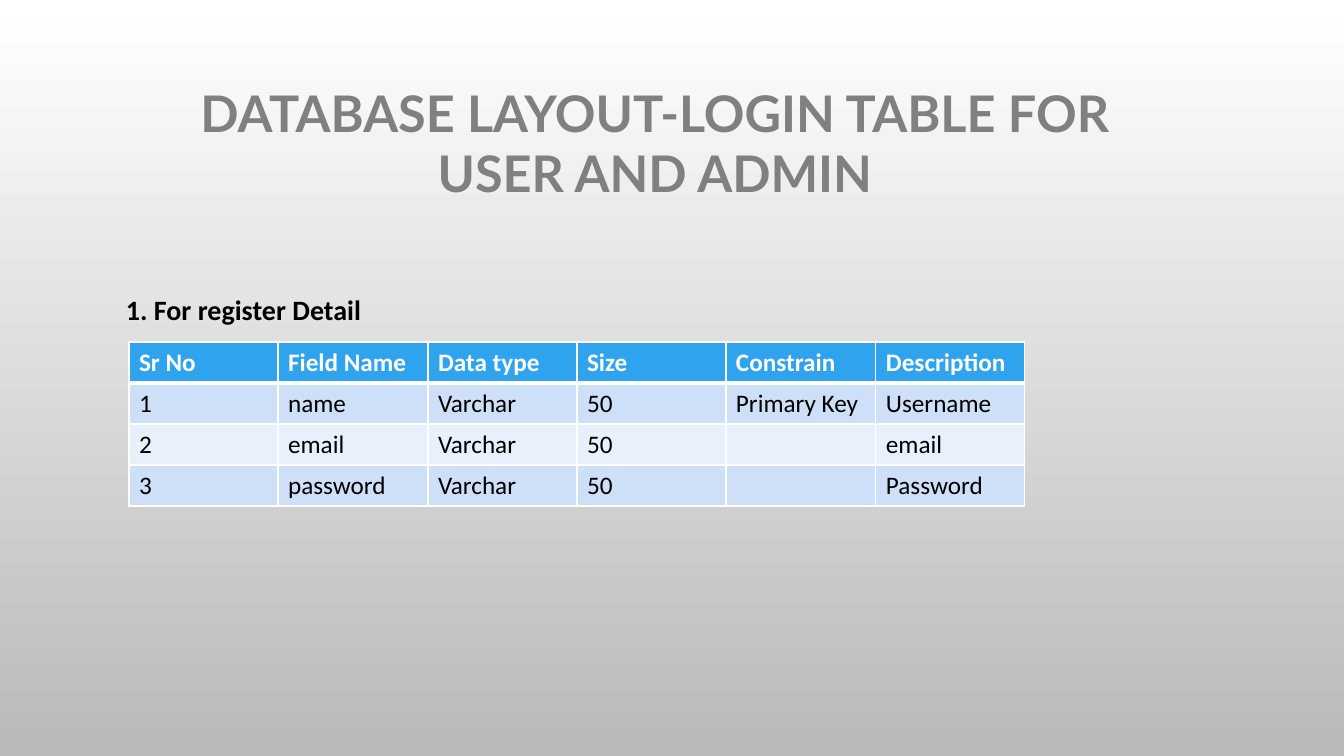
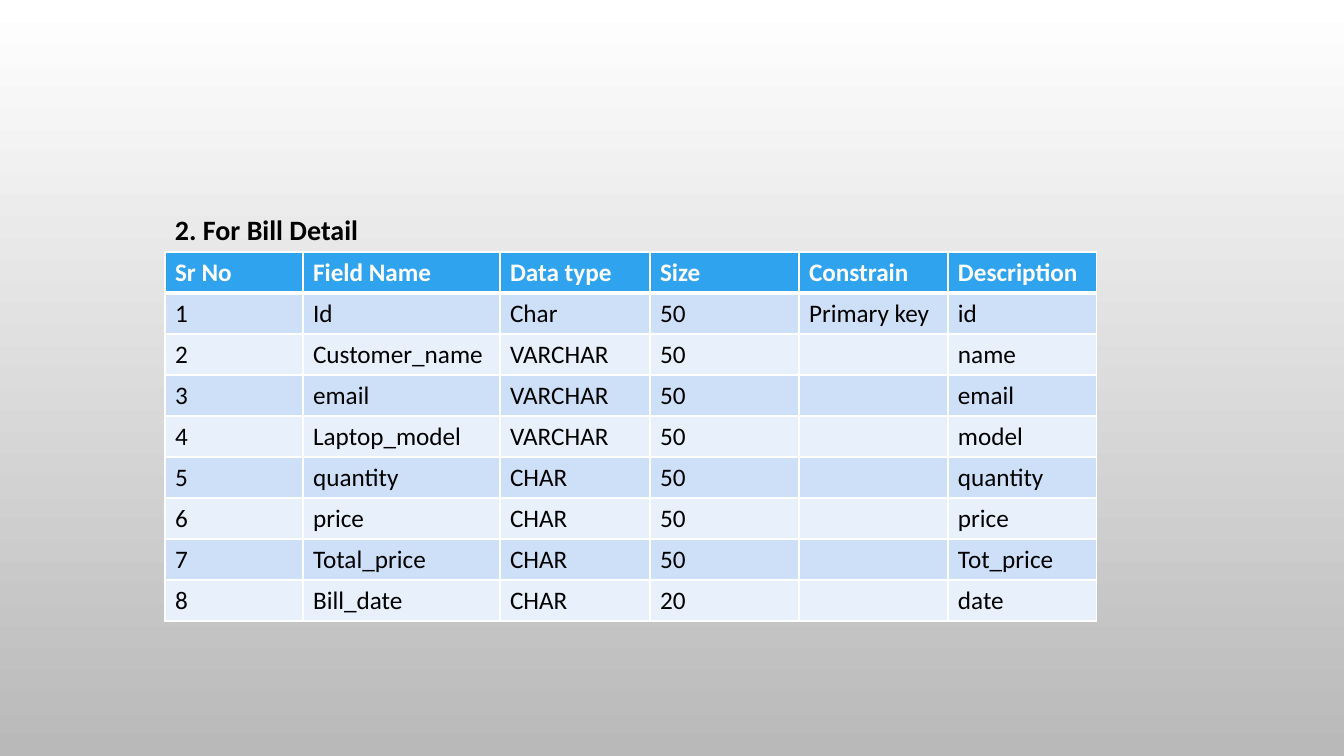
"""Build two slides that describe the tables of a shop database."""
from itertools import pairwise

from lxml.etree import SubElement
from pptx import Presentation
from pptx.dml.color import RGBColor as RGB
from pptx.enum.text import MSO_AUTO_SIZE as AUTO, PP_ALIGN as ALIGN
from pptx.oxml.ns import qn
from pptx.util import Emu, Pt

SCALE = 914400 / 100.8
WHITE = RGB(0xFF, 0xFF, 0xFF)
BLACK = RGB(0x00, 0x00, 0x00)
SILVER = RGB(0xB9, 0xB9, 0xB9)
GRAY = RGB(0x80, 0x80, 0x80)
BLUE = RGB(0x2F, 0xA3, 0xEE)
BANDS = [RGB(0xE8, 0xF0, 0xFC), RGB(0xCD, 0xE0, 0xF8)]
TITLE = dict(name="Lato", size=Pt(36), bold=True, color=GRAY)
CAPTION = dict(name="Calibri", size=Pt(20), bold=True, color=BLACK)
HEADER = dict(name="Calibri", size=Pt(18), bold=True, color=WHITE)
BODY = dict(name="Calibri", size=Pt(18), bold=False, color=BLACK)
ROW_H = 41
HEADINGS = ["Sr No", "Field Name", "Data type", "Size", "Constrain", "Description"]

SLIDES = [
    dict(
        texts=[
            ("DATABASE LAYOUT-LOGIN TABLE FOR USER AND ADMIN",
             (152, 77, 1006, 132), TITLE, ALIGN.CENTER),
            ("1. For register Detail", (116, 288, 492, 44), CAPTION, ALIGN.LEFT),
        ],
        top=342,
        edges=[129, 278, 428, 577, 726, 876, 1025],
        fields=[
            ("name", "Varchar", "50", "Primary Key", "Username"),
            ("email", "Varchar", "50", "", "email"),
            ("password", "Varchar", "50", "", "Password"),
        ],
    ),
    dict(
        texts=[("2. For Bill Detail", (165, 208, 244, 44), CAPTION, ALIGN.LEFT)],
        top=252,
        edges=[165, 303, 500, 650, 799, 948, 1097],
        fields=[
            ("Id", "Char", "50", "Primary key", "id"),
            ("Customer_name", "VARCHAR", "50", "", "name"),
            ("email", "VARCHAR", "50", "", "email"),
            ("Laptop_model", "VARCHAR", "50", "", "model"),
            ("quantity", "CHAR", "50", "", "quantity"),
            ("price", "CHAR", "50", "", "price"),
            ("Total_price", "CHAR", "50", "", "Tot_price"),
            ("Bill_date", "CHAR", "20", "", "date"),
        ],
    ),
]


def px(n):
    return Emu(round(n * SCALE))


def write(p, text, style):
    r = p.add_run()
    r.text = text
    for key, value in style.items():
        if key == "color":
            r.font.color.rgb = value
        else:
            setattr(r.font, key, value)


prs = Presentation()
prs.slide_width, prs.slide_height = px(1344), px(756)
bg = prs.slide_master.background.fill
bg.gradient()
bg.gradient_angle = 270
for stop, color, position in zip(bg.gradient_stops, (WHITE, SILVER), (0, 1)):
    stop.color.rgb = color
    stop.position = position

for page in SLIDES:
    s = prs.slides.add_slide(prs.slide_layouts[6])

    rows = [HEADINGS] + [(str(n), *field) for n, field in enumerate(page["fields"], 1)]
    edges = page["edges"]
    table = s.shapes.add_table(
        len(rows), len(HEADINGS), px(edges[0]), px(page["top"]),
        px(edges[-1] - edges[0]), px(ROW_H * len(rows))).table
    for column, (left, right) in zip(table.columns, pairwise(edges)):
        column.width = px(right - left)
    for i, row in enumerate(rows):
        table.rows[i].height = px(ROW_H)
        widths = dict(lnL=1, lnR=1, lnT=3 if i == 1 else 1, lnB=3 if i == 0 else 1)
        for j, text in enumerate(row):
            cell = table.cell(i, j)
            tcPr = cell._tc.get_or_add_tcPr()
            for tag, width in widths.items():
                ln = SubElement(tcPr, qn(f"a:{tag}"), w=str(Pt(width)))
                SubElement(SubElement(ln, qn("a:solidFill")), qn("a:srgbClr"), val=str(WHITE))
            cell.fill.solid()
            cell.fill.fore_color.rgb = BANDS[i % 2] if i else BLUE
            if text:
                write(cell.text_frame.paragraphs[0], text, BODY if i else HEADER)

    for text, box, style, align in page["texts"]:
        tf = s.shapes.add_textbox(*map(px, box)).text_frame
        tf.word_wrap = True
        tf.auto_size = AUTO.SHAPE_TO_FIT_TEXT
        p = tf.paragraphs[0]
        p.alignment = align
        write(p, text, style)

prs.save("out.pptx")
